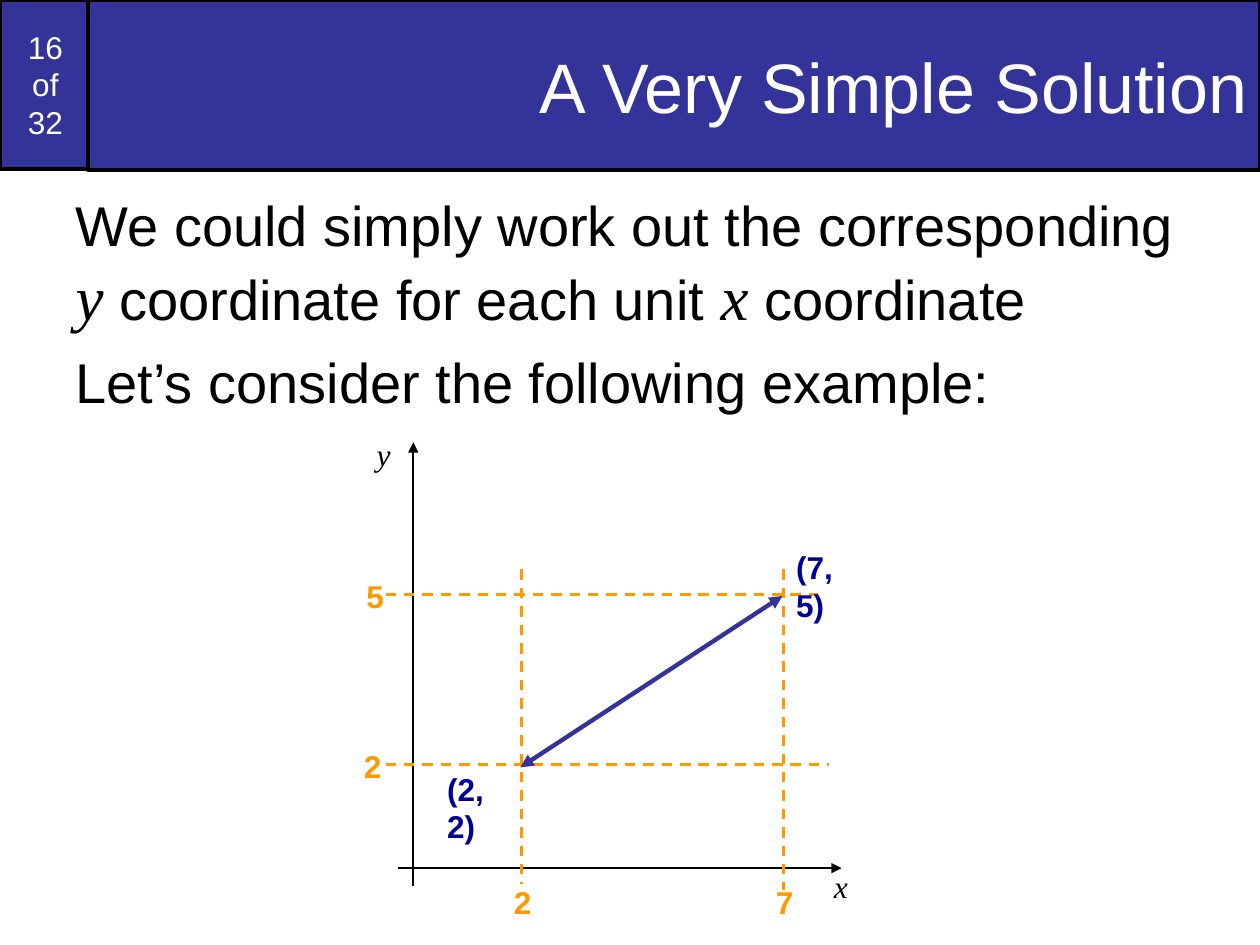
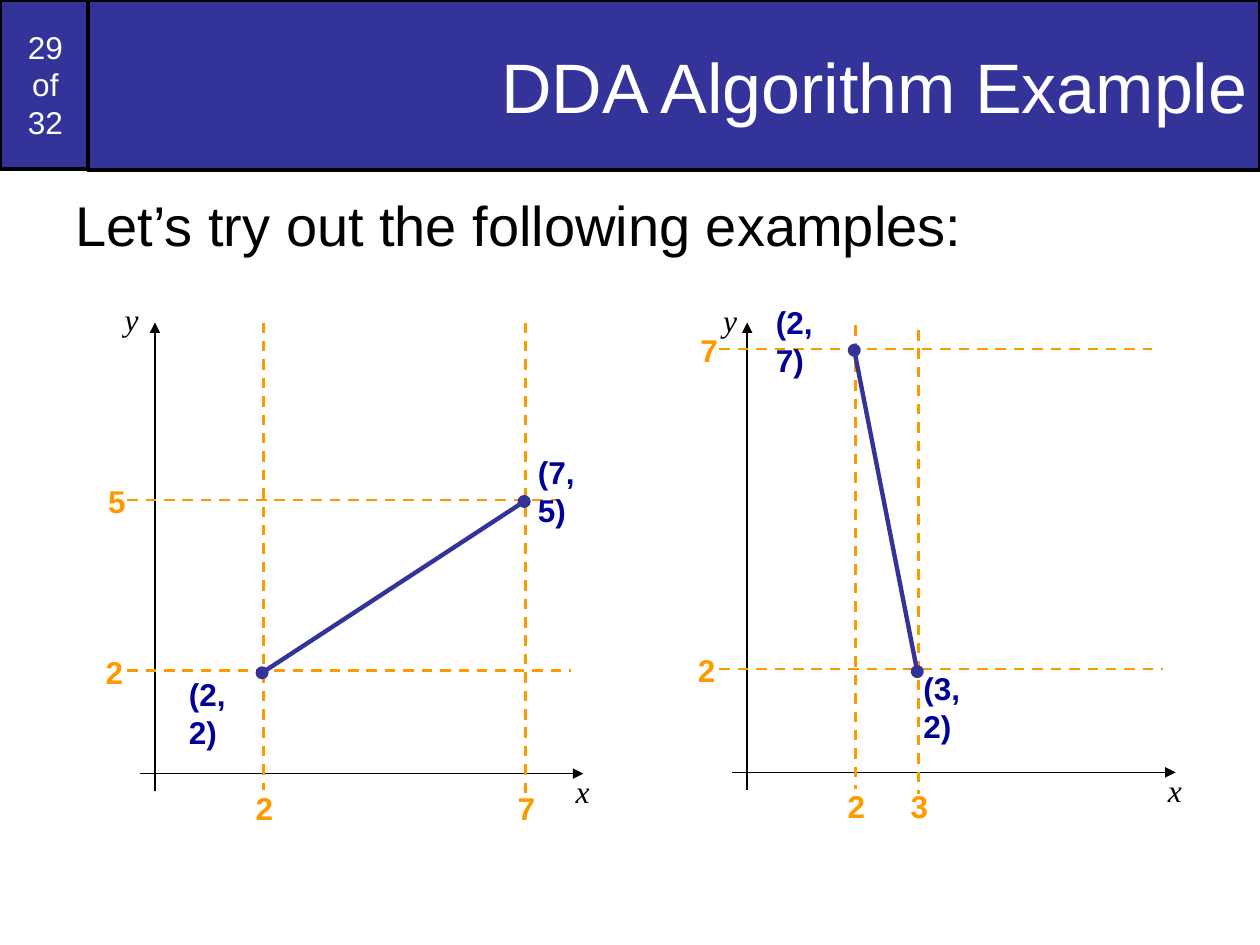
from dataclasses import dataclass

from pptx import Presentation
from pptx import util as u
from pptx.dml.color import RGBColor
from pptx.enum import dml, shapes, text
from pptx.oxml.ns import qn
from pptx.oxml.xmlchemy import OxmlElement

# Shared look
BAND, BLACK, WHITE = "333399", "000000", "FFFFFF"
GUIDE, POINT = "FF9900", "000099"
SANS, SERIF = "Arial", "Times New Roman"
PAGE_COUNT = 32

# Distance of each coordinate value from the axes, in inches
ACROSS = {2: 0.86, 3: 1.36, 7: 2.94}
UP = {2: 0.82, 5: 2.17, 7: 3.36}


@dataclass
class Style:
    size: float
    color: str = BLACK
    font: str = SANS
    bold: bool = False
    italic: bool = False


TITLE = Style(40, WHITE)
PAGE = Style(18, WHITE)
BODY = Style(32)
VARIABLE = Style(36, font=SERIF, italic=True)
AXIS_NAME = Style(18, font=SERIF, italic=True)
TICK = Style(18, GUIDE, bold=True)
POINT_LABEL = Style(18, POINT, bold=True)


@dataclass
class Point:
    x: int
    y: int
    label_dx: float  # label position relative to the point
    label_dy: float


@dataclass
class Plot:
    origin_x: float
    origin_y: float
    axis_top: float
    y_name: tuple[float, float]
    guide_tops: tuple[float, float]
    start: Point
    end: Point
    line_end: str


LOW_POINT = Point(2, 2, -0.69, -0.01)
HIGH_POINT = Point(7, 5, 0, -0.42)


def rgb(color: str) -> RGBColor:
    return RGBColor.from_string(color)


def add_run(paragraph, words: str, style: Style) -> None:
    run = paragraph.add_run()
    run.text = words
    font = run.font
    font.name, font.size = style.font, u.Pt(style.size)
    font.bold, font.italic = style.bold, style.italic
    font.color.rgb = rgb(style.color)


def place(shape, left: float, top: float, width: float, height: float) -> None:
    shape.left, shape.top = u.Inches(left), u.Inches(top)
    shape.width, shape.height = u.Inches(width), u.Inches(height)


def paint_band(shape) -> None:
    shape.fill.solid()
    shape.fill.fore_color.rgb = rgb(BAND)
    shape.line.color.rgb = rgb(BLACK)
    shape.line.width = u.Pt(2)
    shape.text_frame.word_wrap = True
    shape.text_frame.auto_size = text.MSO_AUTO_SIZE.NONE
    shape.text_frame.vertical_anchor = text.MSO_ANCHOR.MIDDLE


def add_header(slide, title_words: str, page: int) -> None:
    # Title band
    title = slide.shapes.title
    place(title, 0.7, 0, 9.3, 1.35)
    paint_band(title)
    paragraph = title.text_frame.paragraphs[0]
    paragraph.alignment = text.PP_ALIGN.RIGHT
    add_run(paragraph, title_words, TITLE)

    # Page counter, behind the title band
    counter = slide.shapes.add_shape(
        shapes.MSO_SHAPE.RECTANGLE, 0, 0, u.Inches(0.72), u.Inches(1.34))
    counter.shadow.inherit = False
    paint_band(counter)
    title.element.addprevious(counter.element)
    paragraph = counter.text_frame.paragraphs[0]
    paragraph.alignment = text.PP_ALIGN.CENTER
    for index, words in enumerate((str(page), "of", str(PAGE_COUNT))):
        if index:
            paragraph.add_line_break()
        add_run(paragraph, words, PAGE)


def fill_body(slide, paragraphs: list[list[tuple[str, Style]]]) -> None:
    body = slide.placeholders[1]
    place(body, 0.5, 1.46, 9, 6.04)
    frame = body.text_frame
    frame.auto_size = text.MSO_AUTO_SIZE.NONE
    for index, runs in enumerate(paragraphs):
        paragraph = frame.add_paragraph() if index else frame.paragraphs[0]
        properties = paragraph._p.get_or_add_pPr()
        properties.set("marL", "0")
        properties.set("indent", "0")
        properties.append(OxmlElement("a:buNone"))
        paragraph.space_before = u.Pt(8 if index else 0)
        for words, style in runs:
            add_run(paragraph, words, style)


def add_line(group, start: tuple[float, float], end: tuple[float, float],
             color: str, width: float, dashed: bool = False,
             head: str = "", tail: str = "") -> None:
    connector = group.shapes.add_connector(
        shapes.MSO_CONNECTOR.STRAIGHT, *map(u.Inches, start + end))
    connector.line.color.rgb = rgb(color)
    connector.line.width = u.Pt(width)
    if dashed:
        connector.line.dash_style = dml.MSO_LINE.DASH
    properties = connector.element.spPr
    for tag, kind in (("a:headEnd", head), ("a:tailEnd", tail)):
        if kind:
            line_end = OxmlElement(tag)
            line_end.set("type", kind)
            properties.find(qn("a:ln")).append(line_end)
    properties.append(OxmlElement("a:effectLst"))


def add_label(group, words: str, left: float, top: float, width: float,
              style: Style) -> None:
    box = group.shapes.add_textbox(*map(u.Inches, (left, top, width, 0.4)))
    box.text_frame.word_wrap = False
    box.text_frame.auto_size = text.MSO_AUTO_SIZE.SHAPE_TO_FIT_TEXT
    add_run(box.text_frame.paragraphs[0], words, style)


def draw_plot(slide, plot: Plot) -> None:
    group = slide.shapes.add_group_shape()
    x0, y0 = plot.origin_x, plot.origin_y
    points = (plot.start, plot.end)

    # Axes and their names
    add_line(group, (x0, y0 + 0.14), (x0, plot.axis_top), BLACK, 1, tail="triangle")
    add_line(group, (x0 - 0.12, y0), (x0 + 3.4, y0), BLACK, 1, tail="triangle")
    add_label(group, "x", x0 + 3.24, y0 - 0.06, 0.31, AXIS_NAME)
    add_label(group, "y", *plot.y_name, 0.31, AXIS_NAME)

    # Dashed guides with tick values
    for y in sorted(point.y for point in points):
        height = y0 - UP[y]
        right, tick_left = (3.3, -0.49) if y == 2 else (3.21, -0.47)
        add_line(group, (x0 - 0.22, height), (x0 + right, height), GUIDE, 1.5, True)
        add_label(group, str(y), x0 + tick_left, height - 0.19, 0.34, TICK)
    for point, top in zip(points, plot.guide_tops):
        x = x0 + ACROSS[point.x]
        bottom = y0 + (0.13 if point.x == 2 else 0.17)
        add_line(group, (x, top), (x, bottom), GUIDE, 1.5, True)
        add_label(group, str(point.x), x - 0.16, y0 + 0.07, 0.34, TICK)

    # Segment and its end points
    ends = []
    for point in points:
        x, y = x0 + ACROSS[point.x], y0 - UP[point.y]
        ends.append((x - 0.01, y + (0.02 if point.y == 2 else 0.01)))
        add_label(group, f"({point.x}, {point.y})", x + point.label_dx,
                  y + point.label_dy, 0.78, POINT_LABEL)
    add_line(group, *ends, BAND, 2.5, head=plot.line_end, tail=plot.line_end)


def add_slide(presentation, title: str, page: int, body: list, plots: list[Plot]) -> None:
    slide = presentation.slides.add_slide(presentation.slide_layouts[1])
    add_header(slide, title, page)
    fill_body(slide, body)
    for plot in plots:
        draw_plot(slide, plot)


def main() -> None:
    presentation = Presentation()
    presentation.slide_width, presentation.slide_height = u.Inches(10), u.Inches(7.5)

    add_slide(
        presentation, "A Very Simple Solution", 16,
        [[("We could simply work out the corresponding ", BODY), ("y", VARIABLE),
          (" coordinate for each unit ", BODY), ("x", VARIABLE),
          (" coordinate", BODY)],
         [("Let’s consider the following example:", BODY)]],
        [Plot(3.28, 6.89, 3.51, (2.89, 3.4), (4.52, 4.52),
              LOW_POINT, HIGH_POINT, "triangle")])

    add_slide(
        presentation, "DDA Algorithm Example", 29,
        [[("Let’s try out the following examples:", BODY)]],
        [Plot(1.23, 6.14, 2.56, (0.89, 2.33), (2.56, 2.56),
              LOW_POINT, HIGH_POINT, "oval"),
         Plot(5.93, 6.13, 2.56, (5.64, 2.34), (2.58, 2.62),
              Point(2, 7, -0.73, -0.41), Point(3, 2, -0.06, -0.05), "oval")])

    presentation.save("out.pptx")


if __name__ == "__main__":
    main()
